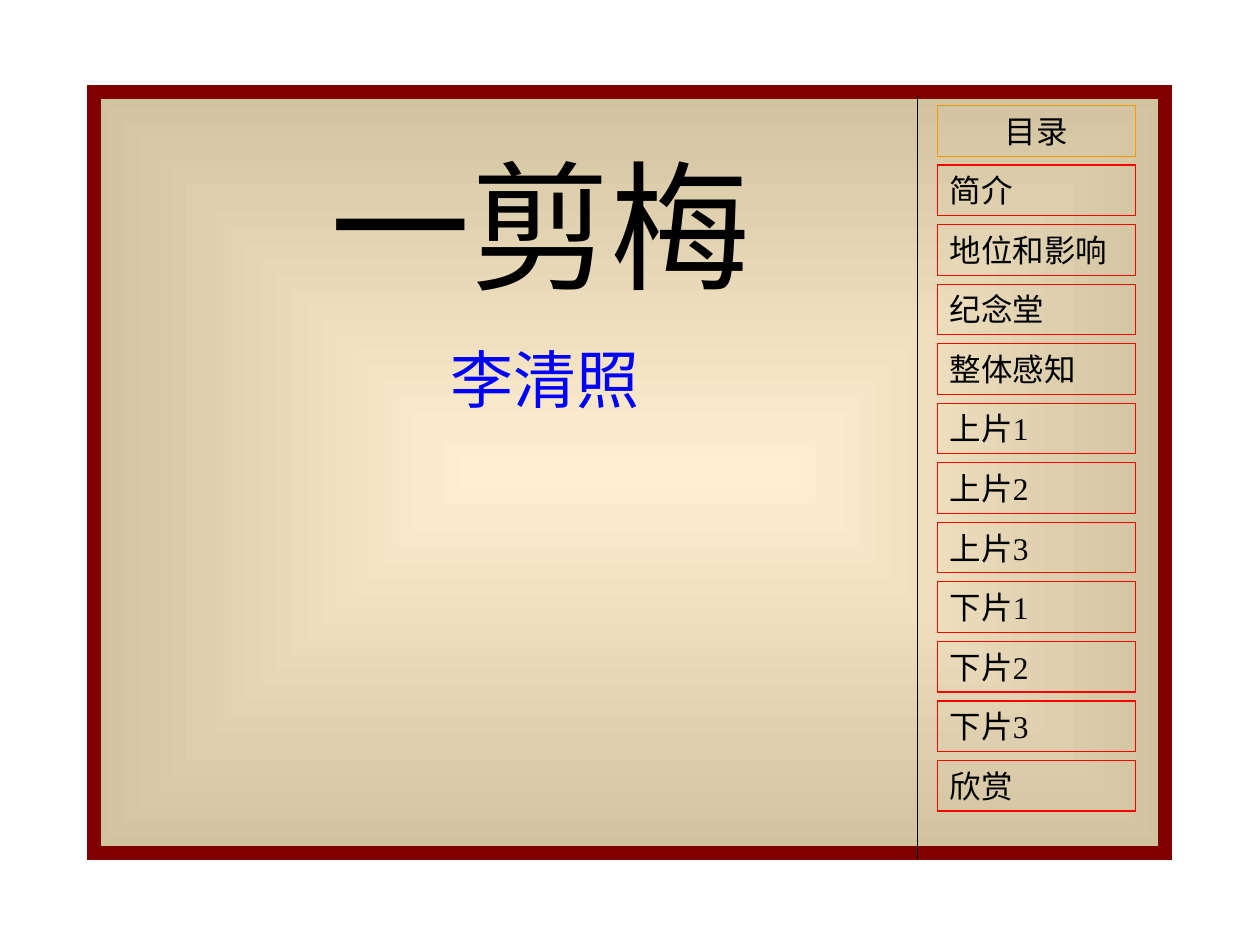
from lxml.etree import SubElement
from pptx import Presentation
from pptx.dml.color import RGBColor
from pptx.enum.shapes import MSO_CONNECTOR, MSO_SHAPE
from pptx.enum.text import MSO_ANCHOR, MSO_AUTO_SIZE, PP_ALIGN
from pptx.oxml.ns import qn
from pptx.util import Cm, Pt

COLOURS = {
    "centre": "FFEFD1",
    "edge": "D1C39F",
    "frame": "800000",
    "heading": "FF9900",
    "entry": "FF0000",
    "text": "000000",
    "author": "0000FF",
}
SERIF = "Times New Roman"
SANS = "Arial"
CONTENTS = [
    "目录", "简介", "地位和影响", "纪念堂", "整体感知", "上片1",
    "上片2", "上片3", "下片1", "下片2", "下片3", "欣赏",
]
MENU_TOP = 2.13
MENU_PITCH = 1.2


class SlideBuilder:
    def __init__(self, slide):
        self.slide = slide

    def colour(self, name):
        return RGBColor.from_string(COLOURS[name])

    def outline(self, shape, colour, width):
        shape.line.color.rgb = self.colour(colour)
        shape.line.width = Pt(width)

    def rectangle(self, left, top, width, height, line, line_width):
        shape = self.slide.shapes.add_shape(
            MSO_SHAPE.RECTANGLE, Cm(left), Cm(top), Cm(width), Cm(height))
        shape.shadow.inherit = False
        shape.fill.background()
        self.outline(shape, line, line_width)
        SubElement(shape._element.spPr.find(qn("a:ln")), qn("a:miter"), lim="800000")
        return shape

    def frame(self, left, top, width, height):
        shape = self.rectangle(left, top, width, height, "frame", 8)
        shape.fill.gradient()
        for stop, name in zip(shape.fill.gradient_stops, ("centre", "edge")):
            stop.color.rgb = self.colour(name)
        gradient = shape._element.spPr.find(qn("a:gradFill"))
        gradient.remove(gradient.find(qn("a:lin")))
        shading = SubElement(gradient, qn("a:path"), path="rect")
        SubElement(shading, qn("a:fillToRect"), l="50000", t="50000", r="50000", b="50000")

    def add_text(self, shape, text, size, font, colour, align, anchor=MSO_ANCHOR.TOP):
        text_frame = shape.text_frame
        text_frame.word_wrap = True
        text_frame.vertical_anchor = anchor
        paragraph = text_frame.paragraphs[0]
        paragraph.alignment = align
        run = paragraph.add_run()
        run.text = text
        run.font.size = Pt(size)
        run.font.name = font
        run.font.color.rgb = self.colour(colour)

    def label(self, left, top, width, height, *style):
        shape = self.slide.shapes.add_textbox(Cm(left), Cm(top), Cm(width), Cm(height))
        self.add_text(shape, *style)

    def menu_box(self, top, text, line, align):
        shape = self.rectangle(18.9, top, 3.99, 1.02, line, 0.75)
        self.add_text(shape, text, 18, SERIF, "text", align)
        shape.text_frame.auto_size = MSO_AUTO_SIZE.SHAPE_TO_FIT_TEXT

    def divider(self, x, top, bottom):
        connector = self.slide.shapes.add_connector(
            MSO_CONNECTOR.STRAIGHT, Cm(x), Cm(top), Cm(x), Cm(bottom))
        self.outline(connector, "text", 0.75)
        SubElement(connector._element.spPr, qn("a:effectLst"))


def main():
    presentation = Presentation()
    presentation.slide_width = Cm(25.4)
    presentation.slide_height = Cm(19.05)
    builder = SlideBuilder(presentation.slides.add_slide(presentation.slide_layouts[6]))

    builder.frame(1.9, 1.85, 21.59, 15.34)
    builder.label(4.09, 6.73, 13.79, 4.88, "李清照", 36, SERIF, "author", PP_ALIGN.CENTER)
    builder.divider(18.49, 1.93, 17.32)
    builder.label(3.89, 2.92, 14, 3.18, "一剪梅", 80, SANS, "text",
                  PP_ALIGN.CENTER, MSO_ANCHOR.MIDDLE)

    for index, text in enumerate(CONTENTS):
        line, align = ("entry", PP_ALIGN.LEFT) if index else ("heading", PP_ALIGN.CENTER)
        builder.menu_box(MENU_TOP + index * MENU_PITCH, text, line, align)

    presentation.save("out.pptx")


if __name__ == "__main__":
    main()
